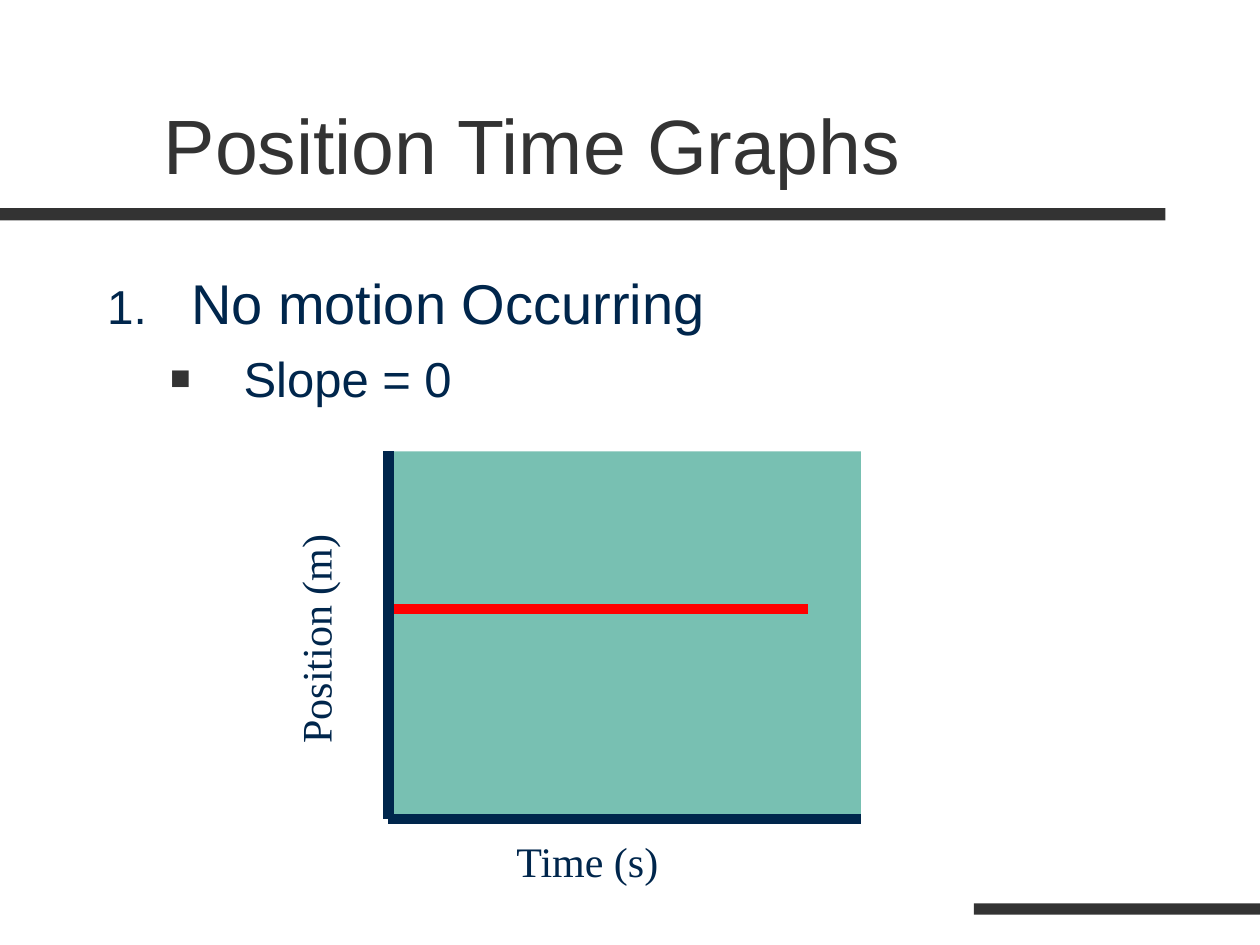
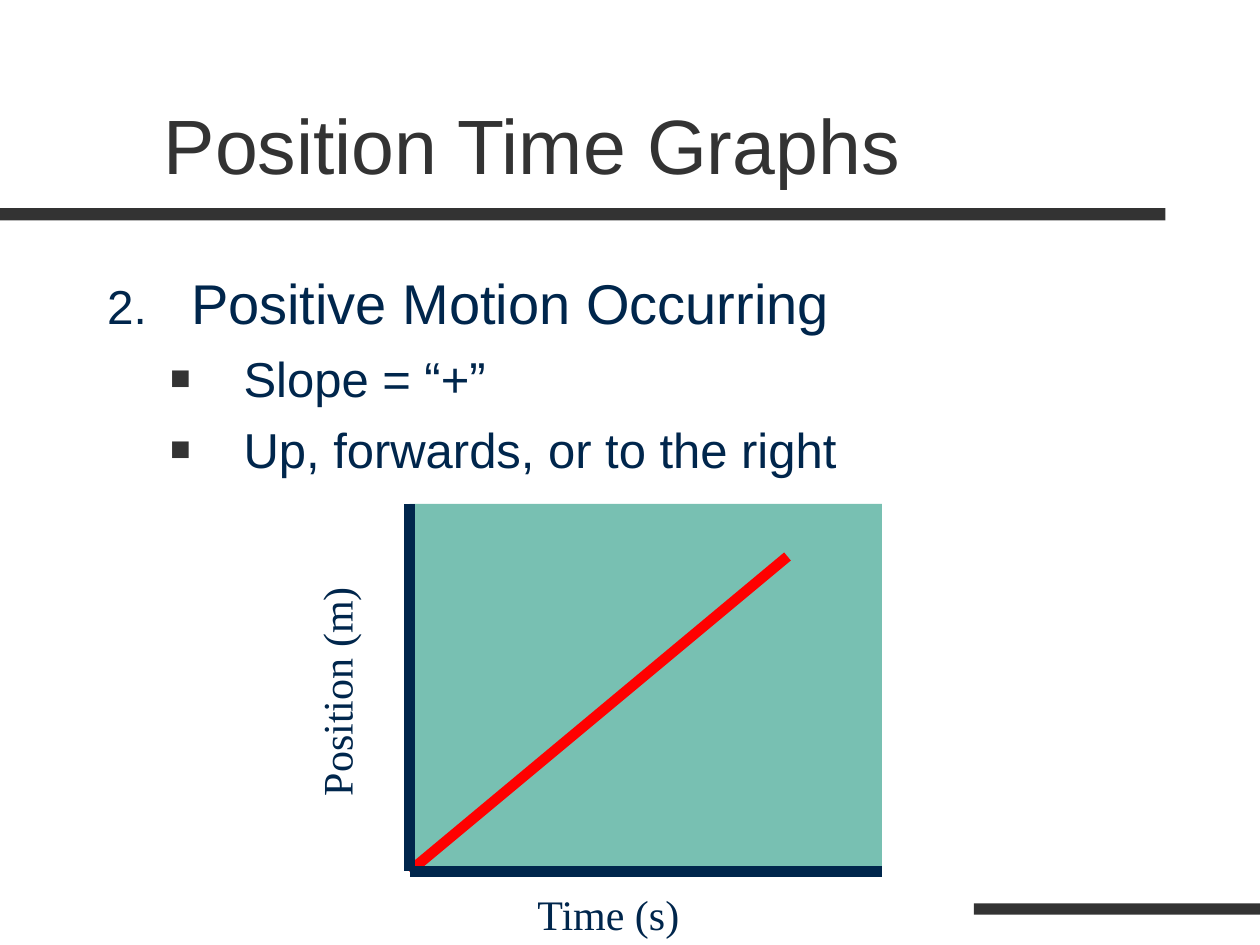
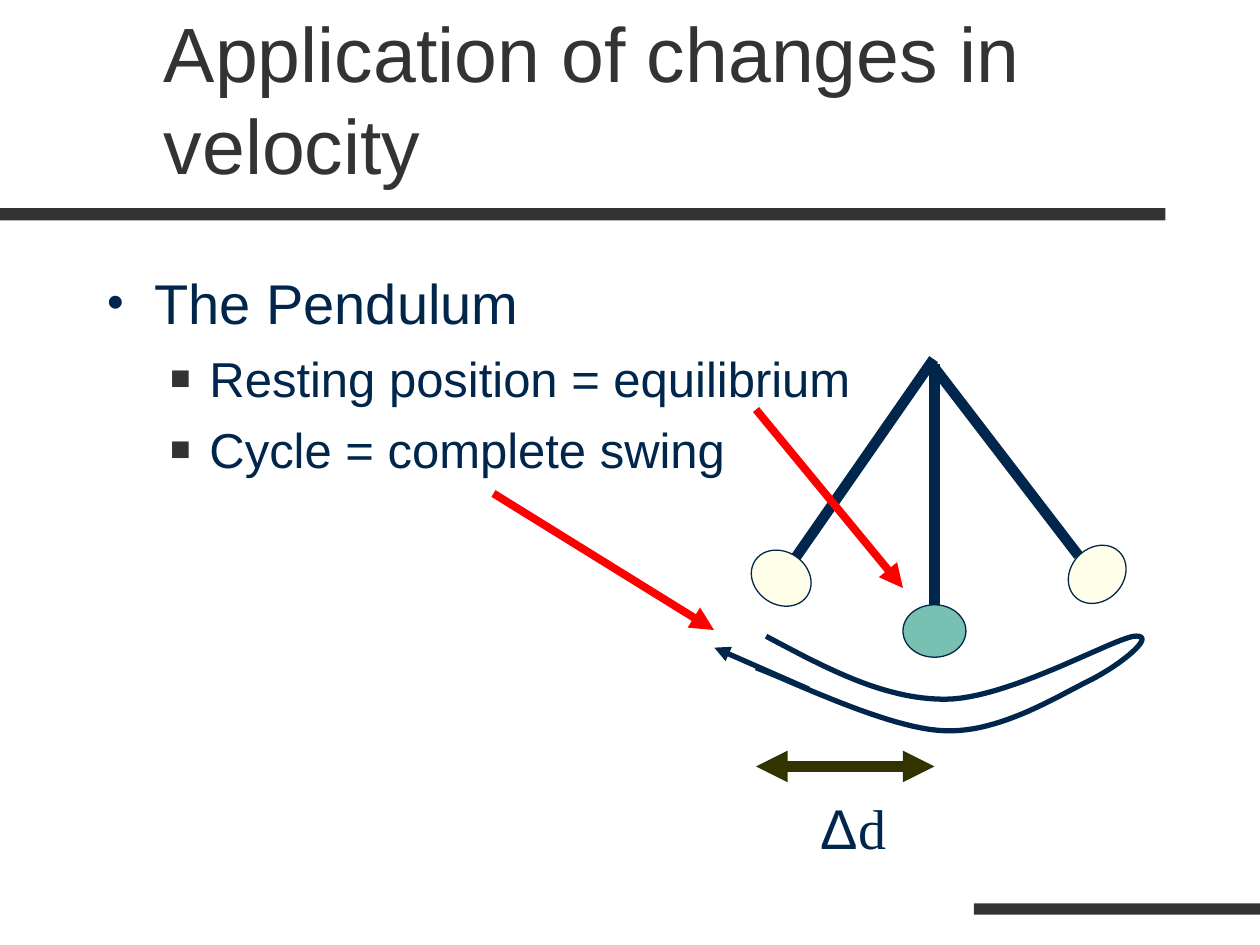
from lxml.etree import SubElement
from pptx import Presentation
from pptx.dml.color import RGBColor
from pptx.enum.shapes import MSO_CONNECTOR as Connector, MSO_SHAPE as Preset
from pptx.enum.text import MSO_ANCHOR as Anchor, MSO_AUTO_SIZE as AutoSize, PP_ALIGN as Align
from pptx.oxml.ns import qn
from pptx.util import Pt

COLORS = {"gray": "333333", "navy": "00264C", "teal": "78C0B2",
          "cream": "FFFFE9", "red": "FF0000", "olive": "333300"}
SANS, SERIF = "Arial", "Times New Roman"

BANDS = [(0, 119, 666, 7), (556.5, 516.2, 163.5, 6.5)]
TITLE_BOX = (86.4, 22.3, 612, 90)
BODY_BOX = (54, 150, 612, 330)

# Per list level: font size, space before, bullet colour, bullet size in percent
LEVELS = [(32, 8, "navy", 85), (28, 7, "gray", 70)]
# Per list level: left margin and hanging indent
NUMBERED_INDENTS = [(48, 48), (78, 42)]
BULLETED_INDENTS = [(27, 27), (58.5, 22.5)]

# Graph trends run between two points measured from the plot's top left corner
PLOT_SIZE = (270, 210)
GRAPH_PAGES = [
    {"title": "Position Time Graphs", "number": 1,
     "items": ["No motion Occurring", "Slope = 0"],
     "plot": (222, 258), "trend": [(0, 90), (240, 90)]},
    {"title": "Position Time Graphs", "number": 2,
     "items": ["Positive Motion Occurring", "Slope = “+”", "Up, forwards, or to the right"],
     "plot": (234, 288), "trend": [(0, 210), (216, 30)]},
]
AXIS_LABELS = [("Time (s)", (66, 216, 120, 36), 0),
               ("Position (m)", (-120, 78, 156, 36), 270)]

PENDULUM_TITLE = "Application of changes in velocity"
PENDULUM_ITEMS = ["The Pendulum", "Resting position = equilibrium", "Cycle = complete swing"]
RODS = [((533.5, 205.2), (451.4, 323.3)),
        ((534, 208), (534, 352)),
        ((616.3, 317.5), (533.5, 209.5))]
BOB_SIZE = (36, 30)
BOBS = [((516, 345.6), "teal", 0), ((609, 313.2), "cream", 313.8),
        ((428.4, 315.4), "cream", 34.8)]
SWING_START = (437.8, 363.6)
SWING_CURVES = [
    [(471.6, 381.6), (504.7, 399.6), (540, 399.6)],
    [(575.3, 399.6), (634.3, 365.8), (648, 363.6)],
    [(661.7, 362.2), (642.2, 378.7), (624.2, 388.1)],
    [(606.2, 396.7), (571.7, 419), (540, 417.6)],
    [(508.3, 416.9), (450, 388.1), (432, 381.6)],
]
# Start, end, colour, width, arrowhead ends
ARROWS = [
    ((462.2, 393.8), (408.2, 370.1), "navy", 3, ["tailEnd"]),
    ((534, 438), (432, 438), "olive", 6, ["headEnd", "tailEnd"]),
    ((432, 234), (516, 336), "red", 4.5, ["tailEnd"]),
    ((282, 282), (408, 360), "red", 4.5, ["tailEnd"]),
]
DISPLACEMENT_BOX = (462, 450, 54, 46)
DISPLACEMENT_SPANS = [("Δ", SANS), ("d", SERIF)]


def rgb(name):
    return RGBColor.from_string(COLORS[name])


def points(values):
    return [Pt(value) for value in values]


def style_font(font, size, color, name):
    font.size, font.name = Pt(size), name
    font.color.rgb = rgb(color)


def style_line(shape, color, width):
    shape.line.color.rgb = rgb(color)
    shape.line.width = Pt(width)


def add_filled(page, preset, box, color, outline=None):
    shape = page.shapes.add_shape(preset, *points(box))
    shape.shadow.inherit = False
    shape.fill.solid()
    shape.fill.fore_color.rgb = rgb(color)
    if outline:
        style_line(shape, outline, 0.75)
    else:
        shape.line.fill.background()
    return shape


def add_line(page, start, end, color, width, heads=()):
    line = page.shapes.add_connector(Connector.STRAIGHT, *points(start + end))
    style_line(line, color, width)
    properties = line.element.spPr
    for head in heads:
        SubElement(properties.find(qn("a:ln")), qn(f"a:{head}"), type="triangle")
    SubElement(properties, qn("a:effectLst"))


def add_label(page, box, spans, size):
    """Add a text box holding one paragraph of (text, font name) spans."""
    label = page.shapes.add_textbox(*points(box))
    label.text_frame.word_wrap = True
    para = label.text_frame.paragraphs[0]
    for text, name in spans:
        span = para.add_run()
        span.text = text
        style_font(span.font, size, "navy", name)
    return label


def place(holder, box):
    holder.left, holder.top, holder.width, holder.height = points(box)
    holder.text_frame.auto_size = AutoSize.NONE
    return holder.text_frame


def add_bullet(para, level, indents, number):
    color, percent = LEVELS[level][2:]
    margin, hanging = indents[level]
    properties = para._p.get_or_add_pPr()
    properties.set("marL", str(Pt(margin)))
    properties.set("indent", str(-Pt(hanging)))
    SubElement(SubElement(properties, qn("a:buClr")), qn("a:srgbClr"), val=COLORS[color])
    SubElement(properties, qn("a:buSzPct"), val=str(percent * 1000))
    SubElement(properties, qn("a:buFont"), typeface=SANS)
    if level == 0 and number:
        SubElement(properties, qn("a:buAutoNum"), type="arabicPeriod", startAt=str(number))
    else:
        SubElement(properties, qn("a:buChar"), char="■" if level else "•")


def add_page(deck, title, items, indents, number=None):
    """Add a page with bands, title and a list whose first item heads the rest."""
    page = deck.slides.add_slide(deck.slide_layouts[1])
    for band in BANDS:
        add_filled(page, Preset.RECTANGLE, band, "gray")

    frame = place(page.shapes.title, TITLE_BOX)
    frame.text = title
    frame.vertical_anchor = Anchor.BOTTOM
    para = frame.paragraphs[0]
    para.alignment = Align.LEFT
    style_font(para.font, 44, "gray", SANS)

    frame = place(page.placeholders[1], BODY_BOX)
    frame.text = "\n".join(items)
    for index, para in enumerate(frame.paragraphs):
        para.level = level = min(index, 1)
        size, gap = LEVELS[level][:2]
        add_bullet(para, level, indents, number)
        para.space_before = Pt(gap if index else 0)
        style_font(para.font, size, "navy", SANS)
    return page


def add_graph(page, plot, trend):
    left, top = plot
    width, height = PLOT_SIZE
    add_filled(page, Preset.RECTANGLE, plot + PLOT_SIZE, "teal")
    start, end = [(left + x, top + y) for x, y in trend]
    add_line(page, start, end, "red", 6)
    for text, (x, y, label_width, label_height), rotation in AXIS_LABELS:
        box = (left + x, top + y, label_width, label_height)
        add_label(page, box, [(text, SERIF)], 24).rotation = rotation
    origin = (left, top + height)
    add_line(page, origin, (left + width, top + height), "navy", 6)
    add_line(page, plot, origin, "navy", 6)


def trace_curves(start, curves, steps=24):
    """Return points along a chain of cubic Bézier curves."""
    traced = []
    for first, second, end in curves:
        for step in range(1, steps + 1):
            t = step / steps
            u = 1 - t
            weights = (u ** 3, 3 * u * u * t, 3 * u * t * t, t ** 3)
            corners = (start, first, second, end)
            traced.append(tuple(Pt(sum(w * corner[axis] for w, corner in zip(weights, corners)))
                                for axis in (0, 1)))
        start = end
    return traced


def add_pendulum(page):
    for start, end in RODS:
        add_line(page, start, end, "navy", 6)
    for corner, color, rotation in BOBS:
        add_filled(page, Preset.OVAL, corner + BOB_SIZE, color, "navy").rotation = rotation
    builder = page.shapes.build_freeform(*points(SWING_START))
    builder.add_line_segments(trace_curves(SWING_START, SWING_CURVES), close=False)
    swing = builder.convert_to_shape()
    swing.shadow.inherit = False
    swing.fill.background()
    style_line(swing, "navy", 3)
    for arrow in ARROWS:
        add_line(page, *arrow)
    add_label(page, DISPLACEMENT_BOX, DISPLACEMENT_SPANS, 32)


def main():
    deck = Presentation()
    deck.slide_width, deck.slide_height = Pt(720), Pt(540)
    for graph in GRAPH_PAGES:
        page = add_page(deck, graph["title"], graph["items"], NUMBERED_INDENTS, graph["number"])
        add_graph(page, graph["plot"], graph["trend"])
    add_pendulum(add_page(deck, PENDULUM_TITLE, PENDULUM_ITEMS, BULLETED_INDENTS))
    deck.save("out.pptx")


if __name__ == "__main__":
    main()
